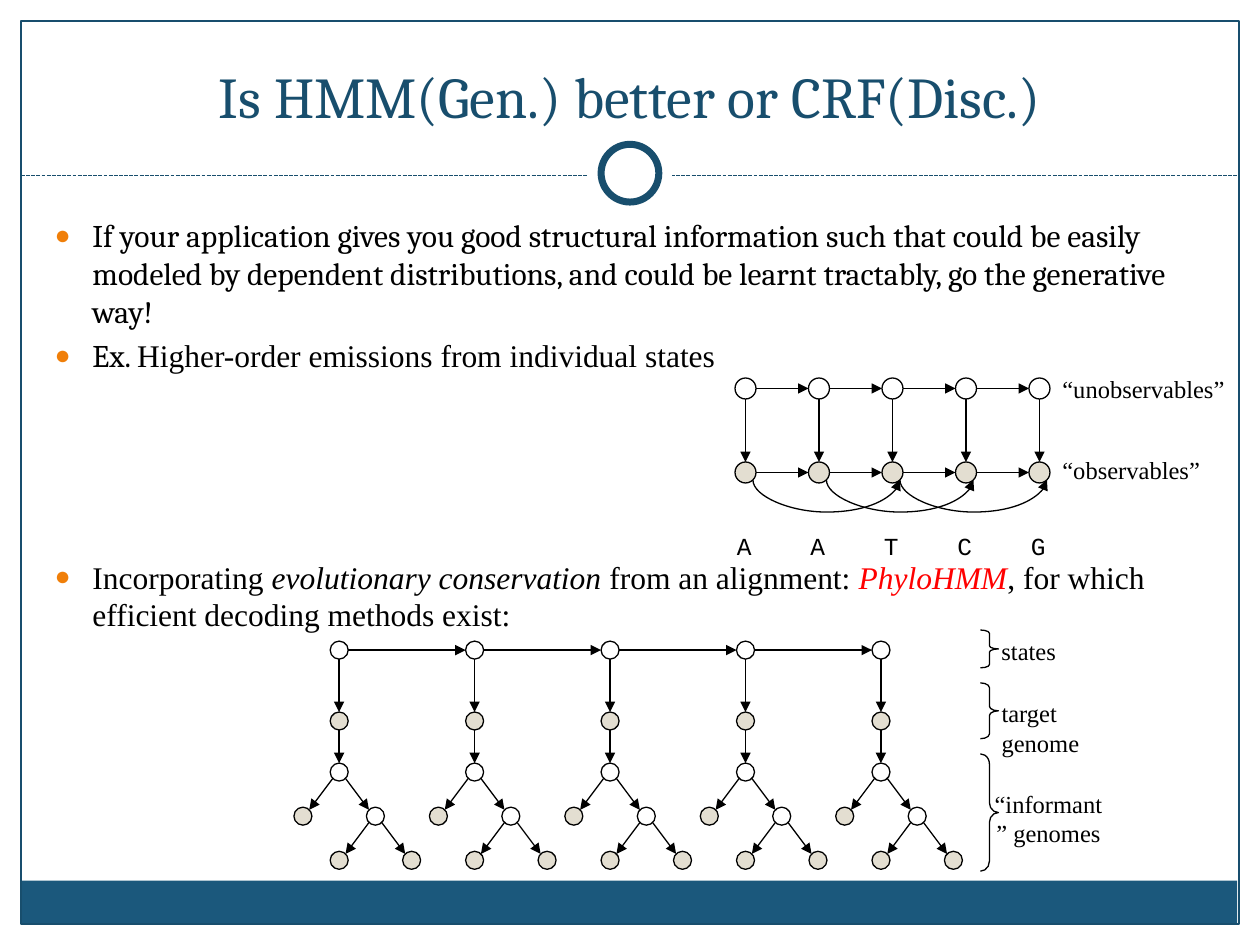
"""Build a slide that compares HMM and CRF, with an emission chain and a PhyloHMM."""
import lxml.etree
import pptx
import pptx.dml.color
import pptx.enum.dml
import pptx.enum.shapes
import pptx.enum.text
import pptx.oxml.ns
import pptx.util
import math

Pt = pptx.util.Pt
qn = pptx.oxml.ns.qn
SHAPE = pptx.enum.shapes.MSO_SHAPE
CONNECTOR = pptx.enum.shapes.MSO_CONNECTOR
ALIGN = pptx.enum.text.PP_ALIGN
ANCHOR = pptx.enum.text.MSO_ANCHOR

NAVY, BAND, ORANGE, RED = "184E6D", "1B587C", "F07F09", "FF0000"
BLACK, WHITE, SAND = "000000", "FFFFFF", "E3DED1"
SERIF, TIMES, MONO = "Cambria", "Times New Roman", "Courier New"


def apply(target, values):
    """Set every attribute named in values on target."""
    for name, value in values.items():
        setattr(target, name, value)


def paint(fill, color):
    """Make a fill solid in a hex colour, or empty when color is None."""
    if color is None:
        fill.background()
    else:
        fill.solid()
        fill.fore_color.rgb = pptx.dml.color.RGBColor.from_string(color)


def add_xml(parent, tag, **attributes):
    """Append a drawing element to parent and return it."""
    return lxml.etree.SubElement(parent, qn(tag), attributes)


def add_run(paragraph, text, size, font=TIMES, color=BLACK, italic=False):
    """Add one formatted run to a paragraph."""
    run = paragraph.add_run()
    run.text = text
    apply(run.font, {"size": Pt(size), "name": font, "italic": italic})
    paint(run.font.fill, color)


def add_figure(shapes, kind, box, fill=None, line=None, width=0.75):
    """Add a preset shape whose box is left, top, width, height."""
    figure = shapes.add_shape(kind, *map(Pt, box))
    figure.shadow.inherit = False
    paint(figure.fill, fill)
    paint(figure.line.fill, line)
    if line:
        figure.line.width = Pt(width)
    return figure


def add_link(shapes, start, end, kind=CONNECTOR.STRAIGHT, color=BLACK, arrow=None):
    """Add a connector with an optional arrowhead tag."""
    link = shapes.add_connector(kind, *map(Pt, (*start, *end)))
    paint(link.line.fill, color)
    link.line.width = Pt(0.75)
    properties = link._element.spPr
    if arrow:
        add_xml(properties.find(qn("a:ln")), arrow, type="triangle")
    add_xml(properties, "a:effectLst")
    return link


def add_node(shapes, center, radius, fill):
    """Add a round graph node about its center."""
    x, y = center
    box = (x - radius, y - radius, 2 * radius, 2 * radius)
    add_figure(shapes, SHAPE.OVAL, box, fill, BLACK)


def add_edge(shapes, source, target, radius):
    """Add an arrow between the facing straight or diagonal points of two nodes."""
    signs = [(b > a) - (b < a) for a, b in zip(source, target)]
    reach = radius / math.hypot(*signs)
    start = [a + sign * reach for a, sign in zip(source, signs)]
    end = [b - sign * reach for b, sign in zip(target, signs)]
    add_link(shapes, start, end, arrow="a:tailEnd")


def add_skip(shapes, source, target, radius):
    """Add a curved arrow that dips below the nodes from source to target."""
    offset, depth, thickness = radius * math.sqrt(0.5), 19.5, 0.12
    middle, half = (source[0] + target[0]) / 2 + offset, (target[0] - source[0]) / 2
    y = source[1] + offset
    skip = add_link(shapes, (middle - thickness / 2, y - half),
                    (middle + thickness / 2, y + half), CONNECTOR.CURVE, arrow="a:headEnd")
    skip.rotation = 90
    guides = skip._element.spPr.find(qn("a:prstGeom")).find(qn("a:avLst"))
    bend = round(depth / thickness * 100000)
    add_xml(guides, "a:gd", name="adj1", fmla=f"val {bend}")


def add_label(shapes, text, box, font=TIMES, align=ALIGN.LEFT):
    """Add a wrapped 14-point label and return its paragraph."""
    label = shapes.add_textbox(*map(Pt, box))
    label.text_frame.word_wrap = True
    paragraph = label.text_frame.paragraphs[0]
    paragraph.alignment = align
    add_run(paragraph, text, 14, font)
    return paragraph


def add_frame(shapes):
    """Add the border, bottom band, dashed rule and ring."""
    add_figure(shapes, SHAPE.RECTANGLE, (11.5, 503.3, 695.5, 24.5), BAND)
    add_figure(shapes, SHAPE.RECTANGLE, (12, 12, 696, 516), line=NAVY)
    rule = add_link(shapes, (12, 100.5), (708, 100.5), color=NAVY)
    rule.line.dash_style = pptx.enum.dml.MSO_LINE.SQUARE_DOT
    add_figure(shapes, SHAPE.OVAL, (336, 75.5, 48, 48), WHITE)
    add_figure(shapes, SHAPE.OVAL, (343.5, 82.5, 33, 33), WHITE, NAVY, 4)


def place(holder, box, anchor):
    """Move a placeholder and fix how its text sits."""
    apply(holder, dict(zip(("left", "top", "width", "height"), map(Pt, box))))
    apply(holder.text_frame, {"vertical_anchor": anchor, "word_wrap": True,
                              "auto_size": pptx.enum.text.MSO_AUTO_SIZE.NONE})


def fill_title(title):
    """Write the slide title."""
    place(title, (24, 18, 672, 60), ANCHOR.BOTTOM)
    paragraph = title.text_frame.paragraphs[0]
    paragraph.alignment = ALIGN.CENTER
    add_run(paragraph, "Is HMM(Gen.) better or CRF(Disc.)", 33, SERIF, NAVY)


def fill_body(body):
    """Write the bullets, with room for the first graph before the last one."""
    place(body, (24, 120, 669.6, 360), ANCHOR.TOP)
    bullets = [
        (3.6, [("If your application gives you good structural information such that could be "
                "easily modeled by dependent distributions, and could be learnt tractably, "
                "go the generative way!", {"font": SERIF})]),
        (3.6, [("Ex. ", {"font": SERIF}), ("Higher-order emissions from individual states", {})]),
        (105, [("Incorporating ", {}), ("evolutionary conservation", {"italic": True}),
               (" from an alignment: ", {}), ("PhyloHMM", {"italic": True, "color": RED}),
               (", for which efficient decoding methods exist:", {})]),
    ]
    frame = body.text_frame
    for index, (gap, runs) in enumerate(bullets):
        paragraph = frame.add_paragraph() if index else frame.paragraphs[0]
        paragraph.space_before = Pt(gap)
        properties = paragraph._p.get_or_add_pPr()
        properties.set("marL", str(Pt(21.6)))
        properties.set("indent", str(-Pt(21.6)))
        add_xml(add_xml(properties, "a:buClr"), "a:srgbClr", val=ORANGE)
        add_xml(properties, "a:buSzPct", val="85000")
        add_xml(properties, "a:buChar", char="●")
        for text, style in runs:
            add_run(paragraph, text, 18, **style)


def add_emission_chain(shapes):
    """Add the chain of hidden states with second-order emissions."""
    radius, step = 6, 42
    hidden, seen = ([(426 + step * i, y) for i in range(5)] for y in (222, 270))
    for row, fill in ((hidden, WHITE), (seen, SAND)):
        for center in row:
            add_node(shapes, center, radius, fill)
    for source, target in [*zip(hidden, hidden[1:]), *zip(seen, seen[1:]), *zip(hidden, seen)]:
        add_edge(shapes, source, target, radius)
    for source, target in zip(seen[:3], seen[2:]):
        add_skip(shapes, source, target, radius)
    add_label(shapes, "“unobservables”", (600, 210, 128, 24))
    add_label(shapes, "“observables”", (600, 256.5, 144, 24))
    bases = add_label(shapes, "\t".join("AATCG"), (414, 300, 270, 24), MONO)
    stops = add_xml(bases._p.get_or_add_pPr(), "a:tabLst")
    for i in range(1, 5):
        add_xml(stops, "a:tab", pos=str(Pt(step * i)), algn="l")


def add_phylo_chain(shapes):
    """Add the chain of states, each with a target genome and a tree of informants."""
    radius, step, spread = 5.14, 77.4, 20.7
    tree = {"state": (0, 371.5, WHITE), "target": (0, 412, SAND), "root": (0, 441.2, WHITE),
            "left": (-1, 466.4, SAND), "inner": (1, 466.4, WHITE),
            "inner left": (0, 491.6, SAND), "inner right": (2, 491.6, SAND)}
    branches = [("state", "target"), ("target", "root"), ("root", "left"), ("root", "inner"),
                ("inner", "inner left"), ("inner", "inner right")]
    for column in range(5):
        x = 193.8 + step * column
        spots = {part: (x + spread * shift, y) for part, (shift, y, _) in tree.items()}
        for part, center in spots.items():
            add_node(shapes, center, radius, tree[part][2])
        for source, target in branches:
            add_edge(shapes, spots[source], spots[target], radius)
        if column < 4:
            x, y = spots["state"]
            add_edge(shapes, (x, y), (x + step, y), radius)
    add_label(shapes, "states", (565.2, 360, 52, 20))
    add_label(shapes, "target genome", (565.2, 395.5, 82.8, 20))
    add_label(shapes, "“informant” genomes", (560.2, 447.1, 77.8, 34.6), align=ALIGN.CENTER)
    for top, height, curl in ((360, 21.6, 0.18), (390.2, 31.9, 0.26), (430.8, 67, 0.55)):
        brace = add_figure(shapes, SHAPE.LEFT_BRACE, (560.2, top, 10.3, height), line=BLACK)
        brace.rotation = 180
        brace.adjustments[0] = curl


def main():
    """Build and save the slide."""
    deck = pptx.Presentation()
    apply(deck, {"slide_width": Pt(720), "slide_height": Pt(540)})
    slide = deck.slides.add_slide(deck.slide_layouts[1])
    add_frame(slide.shapes)
    fill_title(slide.shapes.title)
    fill_body(slide.placeholders[1])
    add_emission_chain(slide.shapes.add_group_shape().shapes)
    add_phylo_chain(slide.shapes.add_group_shape().shapes)
    deck.save("out.pptx")


if __name__ == "__main__":
    main()
